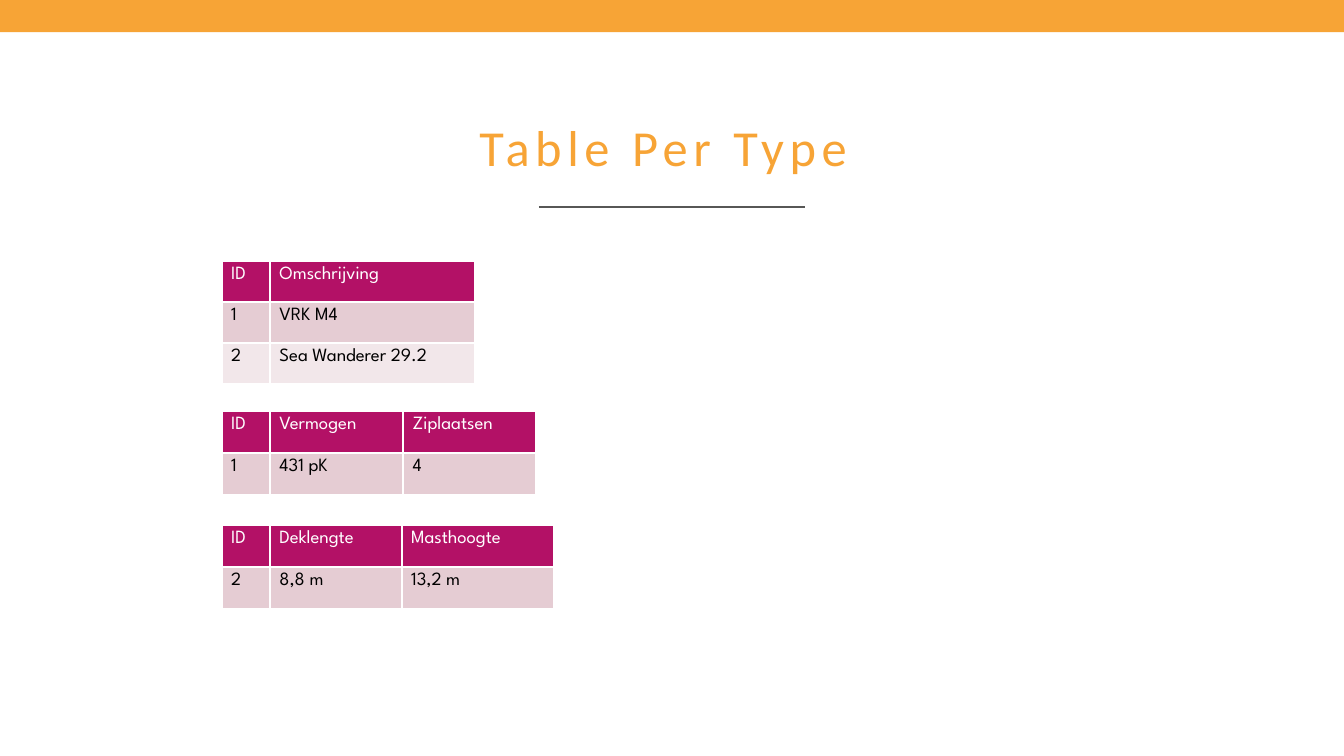
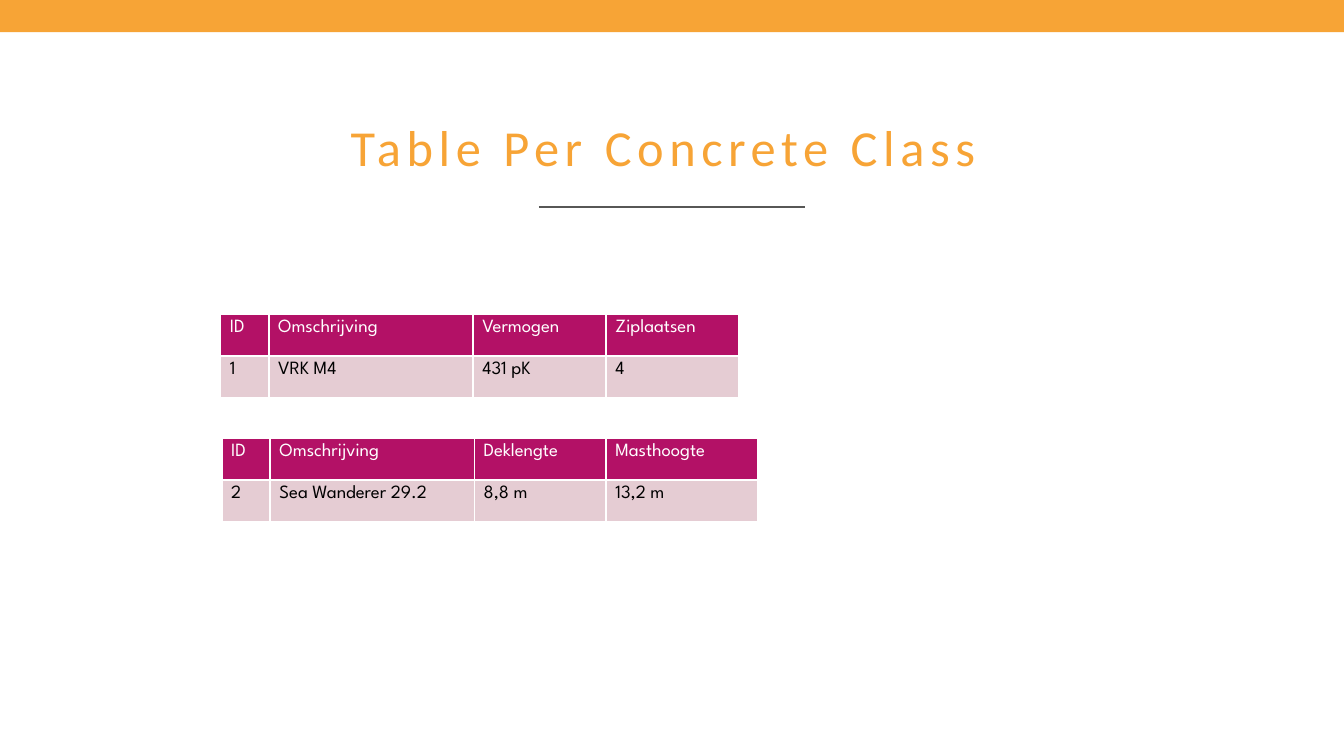
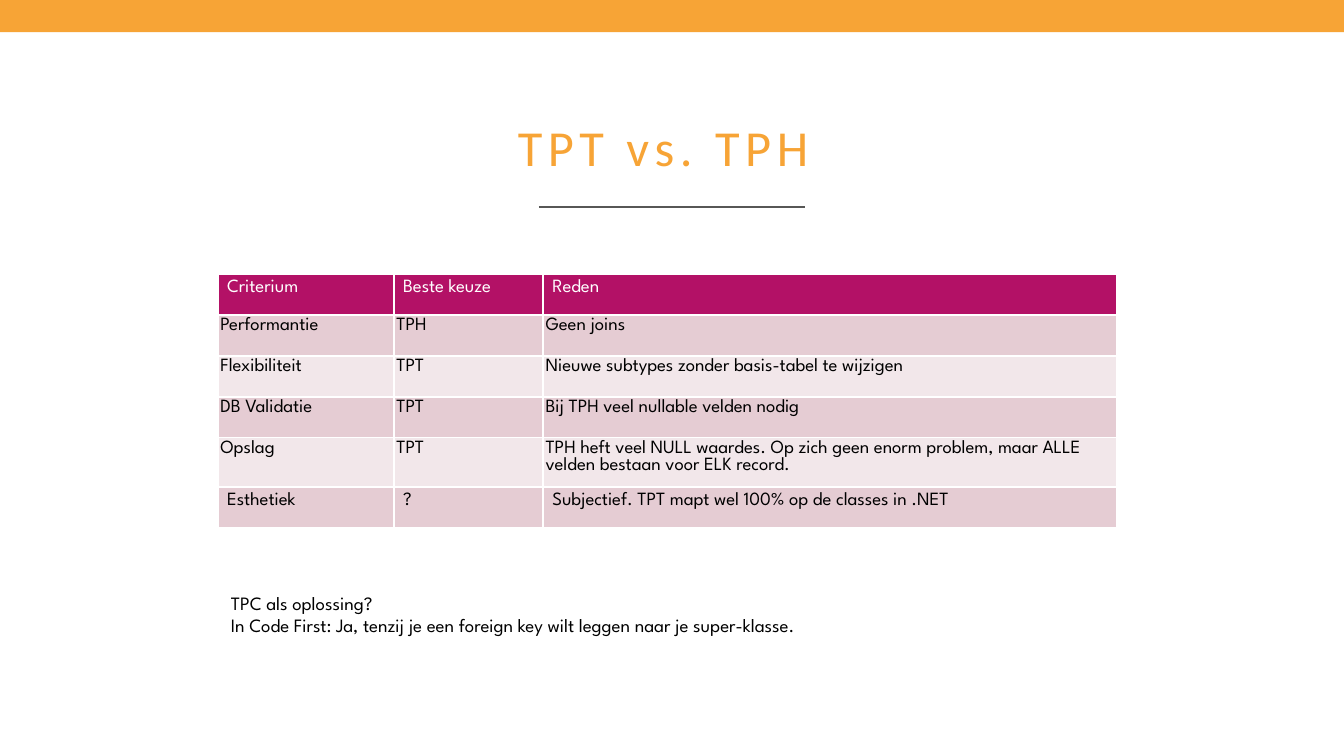
from dataclasses import dataclass

from lxml.etree import SubElement
from pptx import Presentation
from pptx.dml.color import RGBColor
from pptx.enum.shapes import MSO_CONNECTOR, MSO_SHAPE
from pptx.enum.text import MSO_ANCHOR, MSO_AUTO_SIZE, PP_ALIGN
from pptx.oxml.ns import qn
from pptx.util import Inches, Pt

COLUMN_WIDTHS = {
    "ID": 0.36,
    "Omschrijving": 1.52,
    "Vermogen": 0.99,
    "Ziplaatsen": 0.99,
    "Deklengte": 0.98,
    "Masthoogte": 1.13,
    "Criterium": 1.31,
    "Beste keuze": 1.11,
    "Reden": 4.27,
}

SLIDES = [
    {
        "title": "Table Per Type",
        "tables": [
            {"at": (1.65, 1.94), "height": 0.92, "rows": [
                ("ID", "Omschrijving"),
                ("1", "VRK M4"),
                ("2", "Sea Wanderer 29.2"),
            ]},
            {"at": (1.65, 3.06), "height": 0.62, "rows": [
                ("ID", "Vermogen", "Ziplaatsen"),
                ("1", "431 pK", "4"),
            ]},
            {"at": (1.65, 3.91), "height": 0.62, "rows": [
                ("ID", "Deklengte", "Masthoogte"),
                ("2", "8,8 m", "13,2 m"),
            ]},
        ],
    },
    {
        "title": "Table Per Concrete Class",
        "tables": [
            {"at": (1.64, 2.34), "height": 0.62, "rows": [
                ("ID", "Omschrijving", "Vermogen", "Ziplaatsen"),
                ("1", "VRK M4", "431 pK", "4"),
            ]},
            {"at": (1.65, 3.26), "height": 0.62, "rows": [
                ("ID", "Omschrijving", "Deklengte", "Masthoogte"),
                ("2", "Sea Wanderer 29.2", "8,8 m", "13,2 m"),
            ]},
        ],
    },
    {
        "title": "TPT vs. TPH",
        "tables": [
            {"at": (1.62, 2.04), "height": 1.89, "tall_rows": {4: 0.37},
             "tight_rows": range(1, 5), "rows": [
                ("Criterium", "Beste keuze", "Reden"),
                ("Performantie", "TPH", "Geen joins"),
                ("Flexibiliteit", "TPT", "Nieuwe subtypes zonder basis-tabel te wijzigen"),
                ("DB Validatie", "TPT", "Bij TPH veel nullable velden nodig"),
                ("Opslag", "TPT", "TPH heft veel NULL waardes. Op zich geen enorm problem, "
                                  "maar ALLE velden bestaan voor ELK record."),
                ("Esthetiek", "?", "Subjectief. TPT mapt wel 100% op de classes in .NET"),
            ]},
        ],
        "remark": [
            "TPC als oplossing?",
            "In Code First: Ja, tenzij je een foreign key wilt leggen naar je super-klasse.",
        ],
    },
]


@dataclass(frozen=True)
class Theme:
    accent: str = "F7A436"
    rule: str = "575756"
    header: str = "B31166"
    bands: tuple = ("E5CCD3", "F2E7EA")
    white: str = "FFFFFF"
    black: str = "000000"
    title_font: str = "Calibri"
    body_font: str = "League Spartan"
    title_size: float = 27
    table_size: float = 10
    remark_size: float = 10.1


THEME = Theme()


def rgb(code):
    return RGBColor.from_string(code)


def format_text(frame, font_name, size, color):
    for paragraph in frame.paragraphs:
        for run in paragraph.runs:
            run.font.name = font_name
            run.font.size = Pt(size)
            run.font.bold = False
            run.font.color.rgb = rgb(color)


def furnish_layout(layout, slide):
    band = slide.shapes.add_shape(MSO_SHAPE.RECTANGLE, 0, 0, Inches(10), Inches(0.24))
    band.shadow.inherit = False
    band.fill.solid()
    band.fill.fore_color.rgb = rgb(THEME.accent)
    band.line.fill.background()
    rule = slide.shapes.add_connector(
        MSO_CONNECTOR.STRAIGHT, Inches(4.01), Inches(1.54), Inches(5.99), Inches(1.54))
    rule.line.color.rgb = rgb(THEME.rule)
    rule.line.width = Pt(0.75)
    SubElement(rule.element.spPr, qn("a:effectLst"))
    for part in (band, rule):
        layout.shapes.element.append(part.element)


def write_title(slide, wording):
    title = slide.shapes.title
    title.left, title.top = Inches(1.34), Inches(0.8)
    title.width, title.height = Inches(7.19), Inches(0.58)
    frame = title.text_frame
    frame.text = wording
    frame.vertical_anchor = MSO_ANCHOR.MIDDLE
    frame.auto_size = MSO_AUTO_SIZE.NONE
    heading = frame.paragraphs[0]
    heading.alignment = PP_ALIGN.CENTER
    format_text(frame, THEME.title_font, THEME.title_size, THEME.accent)
    heading.runs[0].font._element.set("spc", "300")


def format_cell(cell, row_number, tight):
    is_header = row_number == 0
    cell.fill.solid()
    cell.fill.fore_color.rgb = rgb(THEME.header if is_header else THEME.bands[(row_number - 1) % 2])
    side, edge = (0.02, 0.02) if tight else (0.07, 0.04)
    cell.margin_left = cell.margin_right = Inches(side)
    cell.margin_top = cell.margin_bottom = Inches(edge)
    format_text(cell.text_frame, THEME.body_font, THEME.table_size,
                THEME.white if is_header else THEME.black)


def add_records(slide, at, height, rows, tall_rows=None, tight_rows=()):
    tall_rows = tall_rows or {}
    widths = [COLUMN_WIDTHS[heading] for heading in rows[0]]
    even_height = (height - sum(tall_rows.values())) / (len(rows) - len(tall_rows))
    left, top = at
    records = slide.shapes.add_table(
        len(rows), len(widths), Inches(left), Inches(top),
        Inches(sum(widths)), Inches(height)).table
    for column, width in zip(records.columns, widths):
        column.width = Inches(width)
    for number, values in enumerate(rows):
        records.rows[number].height = Inches(tall_rows.get(number, even_height))
        for position, value in enumerate(values):
            cell = records.cell(number, position)
            cell.text_frame.text = value
            format_cell(cell, number, number in tight_rows)


def add_remark(slide, lines):
    remark = slide.shapes.add_textbox(Inches(1.62), Inches(4.35), Inches(5.17), Inches(0.44))
    frame = remark.text_frame
    frame.text = "\n".join(lines)
    frame.word_wrap = False
    frame.auto_size = MSO_AUTO_SIZE.SHAPE_TO_FIT_TEXT
    format_text(frame, THEME.body_font, THEME.remark_size, THEME.black)


def main():
    deck = Presentation()
    deck.slide_width = Inches(10)
    deck.slide_height = deck.slide_width * 9 // 16
    layout = deck.slide_layouts[5]
    for number, content in enumerate(SLIDES):
        slide = deck.slides.add_slide(layout)
        if number == 0:
            furnish_layout(layout, slide)
        write_title(slide, content["title"])
        for records in content["tables"]:
            add_records(slide, **records)
        if "remark" in content:
            add_remark(slide, content["remark"])
    deck.save("out.pptx")


if __name__ == "__main__":
    main()
